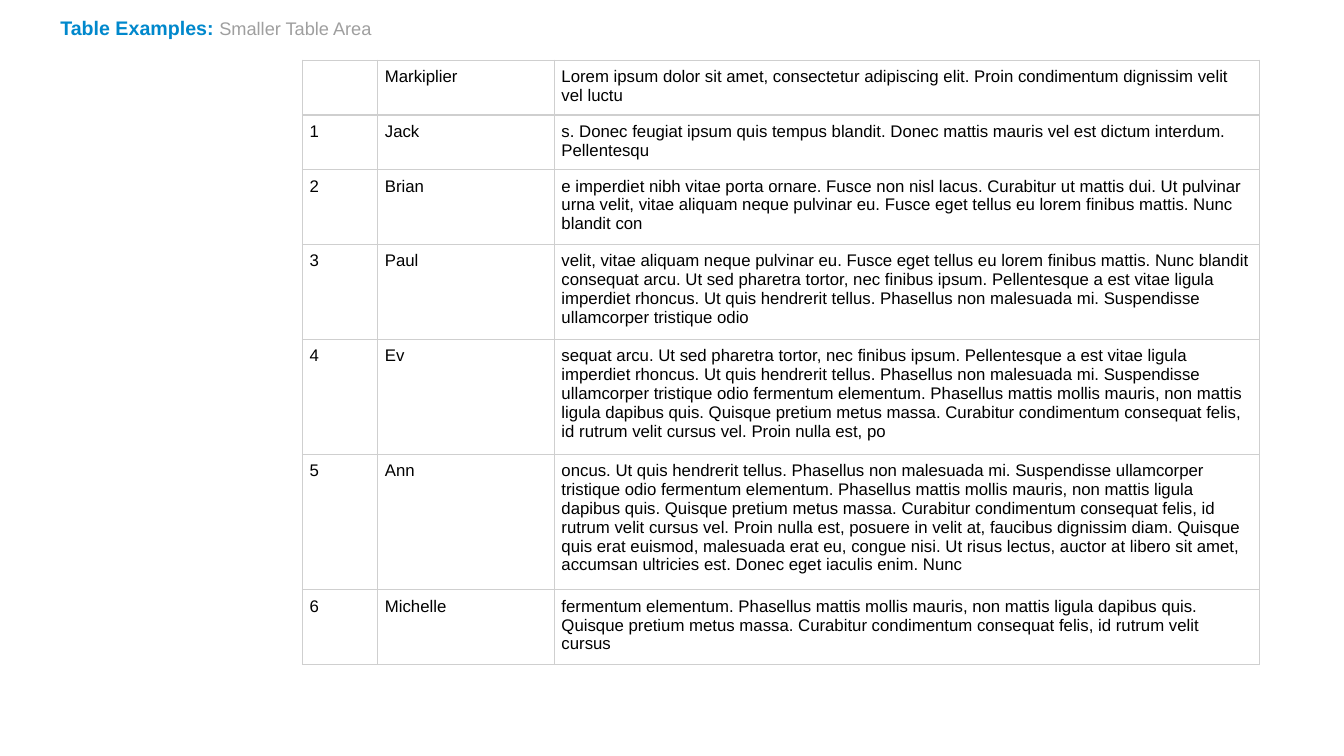
"""Build a slide with a compact table of names and descriptions."""
from lxml.etree import SubElement
from pptx import Presentation
from pptx.dml.color import RGBColor
from pptx.enum.text import MSO_ANCHOR
from pptx.oxml.ns import qn
from pptx.util import Cm, Pt

BLUE = RGBColor(0x00, 0x88, 0xCC)
GRAY = RGBColor(0x9F, 0x9F, 0x9F)
BLACK = RGBColor(0x00, 0x00, 0x00)
RULE = RGBColor(0xCF, 0xCF, 0xCF)

COLUMN_WIDTHS = (1.9, 4.45, 17.78)
PEOPLE = [
    ("", "Markiplier",
     "Lorem ipsum dolor sit amet, consectetur adipiscing elit. Proin condimentum "
     "dignissim velit vel luctu"),
    ("1", "Jack",
     "s. Donec feugiat ipsum quis tempus blandit. Donec mattis mauris vel est dictum "
     "interdum. Pellentesqu"),
    ("2", "Brian",
     "e imperdiet nibh vitae porta ornare. Fusce non nisl lacus. Curabitur ut mattis dui. "
     "Ut pulvinar urna velit, vitae aliquam neque pulvinar eu. Fusce eget tellus eu lorem "
     "finibus mattis. Nunc blandit con"),
    ("3", "Paul",
     "velit, vitae aliquam neque pulvinar eu. Fusce eget tellus eu lorem finibus mattis. "
     "Nunc blandit consequat arcu. Ut sed pharetra tortor, nec finibus ipsum. Pellentesque "
     "a est vitae ligula imperdiet rhoncus. Ut quis hendrerit tellus. Phasellus non "
     "malesuada mi. Suspendisse ullamcorper tristique odio"),
    ("4", "Ev",
     "sequat arcu. Ut sed pharetra tortor, nec finibus ipsum. Pellentesque a est vitae "
     "ligula imperdiet rhoncus. Ut quis hendrerit tellus. Phasellus non malesuada mi. "
     "Suspendisse ullamcorper tristique odio fermentum elementum. Phasellus mattis mollis "
     "mauris, non mattis ligula dapibus quis. Quisque pretium metus massa. Curabitur "
     "condimentum consequat felis, id rutrum velit cursus vel. Proin nulla est, po"),
    ("5", "Ann",
     "oncus. Ut quis hendrerit tellus. Phasellus non malesuada mi. Suspendisse ullamcorper "
     "tristique odio fermentum elementum. Phasellus mattis mollis mauris, non mattis ligula "
     "dapibus quis. Quisque pretium metus massa. Curabitur condimentum consequat felis, id "
     "rutrum velit cursus vel. Proin nulla est, posuere in velit at, faucibus dignissim "
     "diam. Quisque quis erat euismod, malesuada erat eu, congue nisi. Ut risus lectus, "
     "auctor at libero sit amet, accumsan ultricies est. Donec eget iaculis enim. Nunc"),
    ("6", "Michelle",
     "fermentum elementum. Phasellus mattis mollis mauris, non mattis ligula dapibus quis. "
     "Quisque pretium metus massa. Curabitur condimentum consequat felis, id rutrum velit "
     "cursus"),
]


def write(paragraph, text, size=12, color=BLACK, bold=False, font="Arial"):
    run = paragraph.add_run()
    run.text = text
    run.font.name = font
    run.font.size = Pt(size)
    run.font.bold = bold
    run.font.color.rgb = color


class SlideBuilder:
    def __init__(self, slide, rule_color=RULE, rule_width=1, cell_margin=0.18):
        self.slide = slide
        self.rule_color = rule_color
        self.rule_width = rule_width
        self.cell_margin = Cm(cell_margin)

    def heading(self, topic, detail, left, top, width, height):
        box = self.slide.shapes.add_textbox(Cm(left), Cm(top), Cm(width), Cm(height))
        frame = box.text_frame
        frame.word_wrap = True
        frame.vertical_anchor = MSO_ANCHOR.MIDDLE
        write(frame.paragraphs[0], topic, size=14, color=BLUE, bold=True)
        write(frame.paragraphs[0], detail, size=13, color=GRAY)

    def style_cell(self, cell):
        cell.margin_left = cell.margin_right = self.cell_margin
        cell.margin_top = cell.margin_bottom = self.cell_margin
        properties = cell._tc.get_or_add_tcPr()
        for side in ("a:lnL", "a:lnR", "a:lnT", "a:lnB"):
            border = SubElement(properties, qn(side), w=str(Pt(self.rule_width)))
            fill = SubElement(border, qn("a:solidFill"))
            SubElement(fill, qn("a:srgbClr"), val=str(self.rule_color))
        cell.fill.background()

    def table(self, rows, widths, left, top, height):
        table = self.slide.shapes.add_table(
            len(rows), len(widths), Cm(left), Cm(top), Cm(sum(widths)), Cm(height)).table
        table.first_row = table.horz_banding = False
        for column, width in zip(table.columns, widths):
            column.width = Cm(width)
        for row, texts in zip(table.rows, rows):
            for cell, text in zip(row.cells, texts):
                self.style_cell(cell)
                if text:
                    write(cell.text_frame.paragraphs[0], text)


def main():
    deck = Presentation()
    deck.slide_width, deck.slide_height = Cm(33.87), Cm(19.05)
    builder = SlideBuilder(deck.slides.add_slide(deck.slide_layouts[6]))
    builder.heading("Table Examples: ", "Smaller Table Area", 1.27, 0.33, 30.48, 0.76)
    builder.table(PEOPLE, COLUMN_WIDTHS, 7.62, 1.52, 2.54)
    deck.save("out.pptx")


if __name__ == "__main__":
    main()
